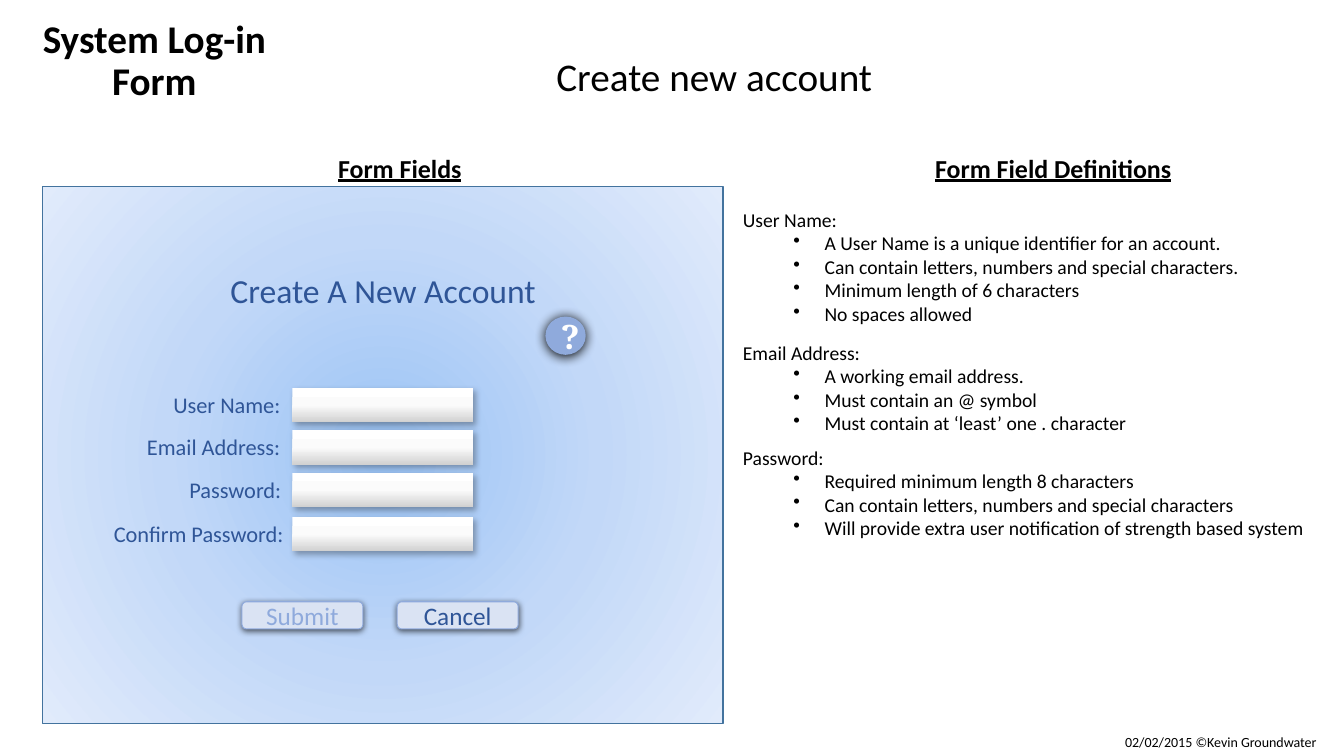
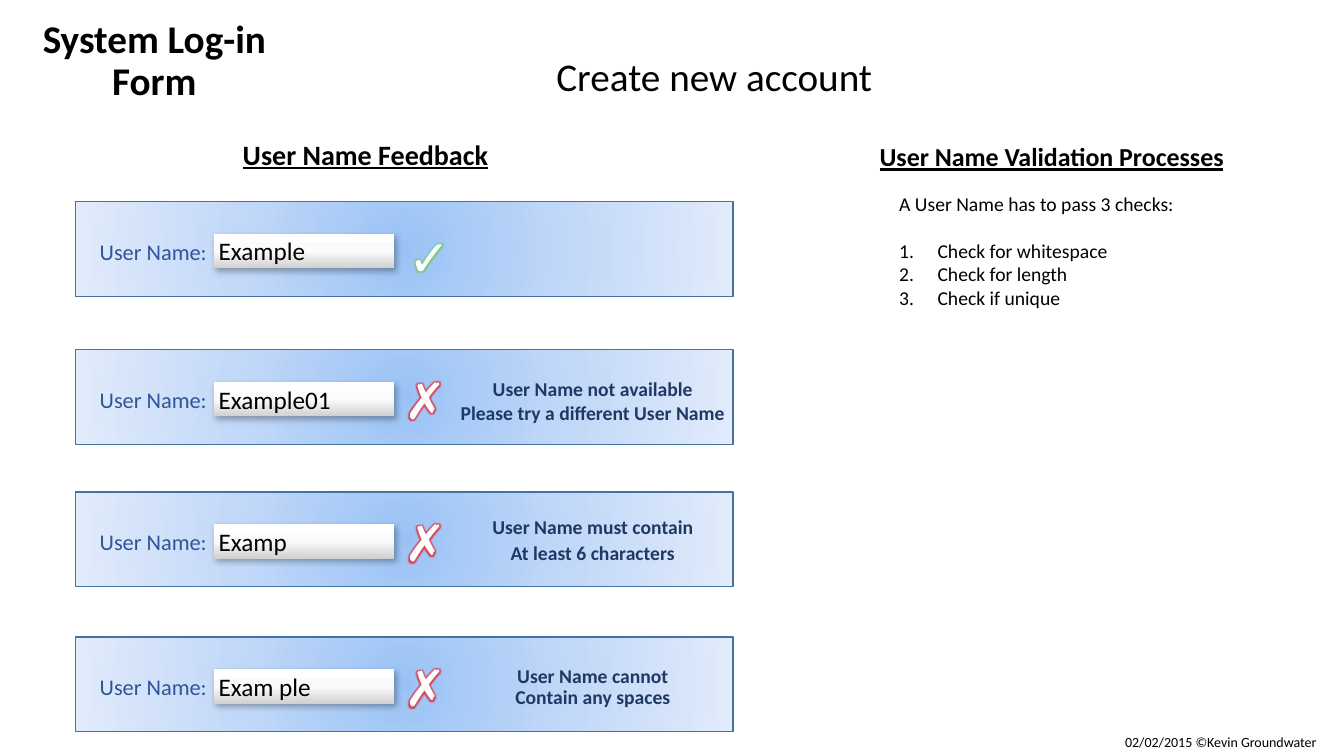
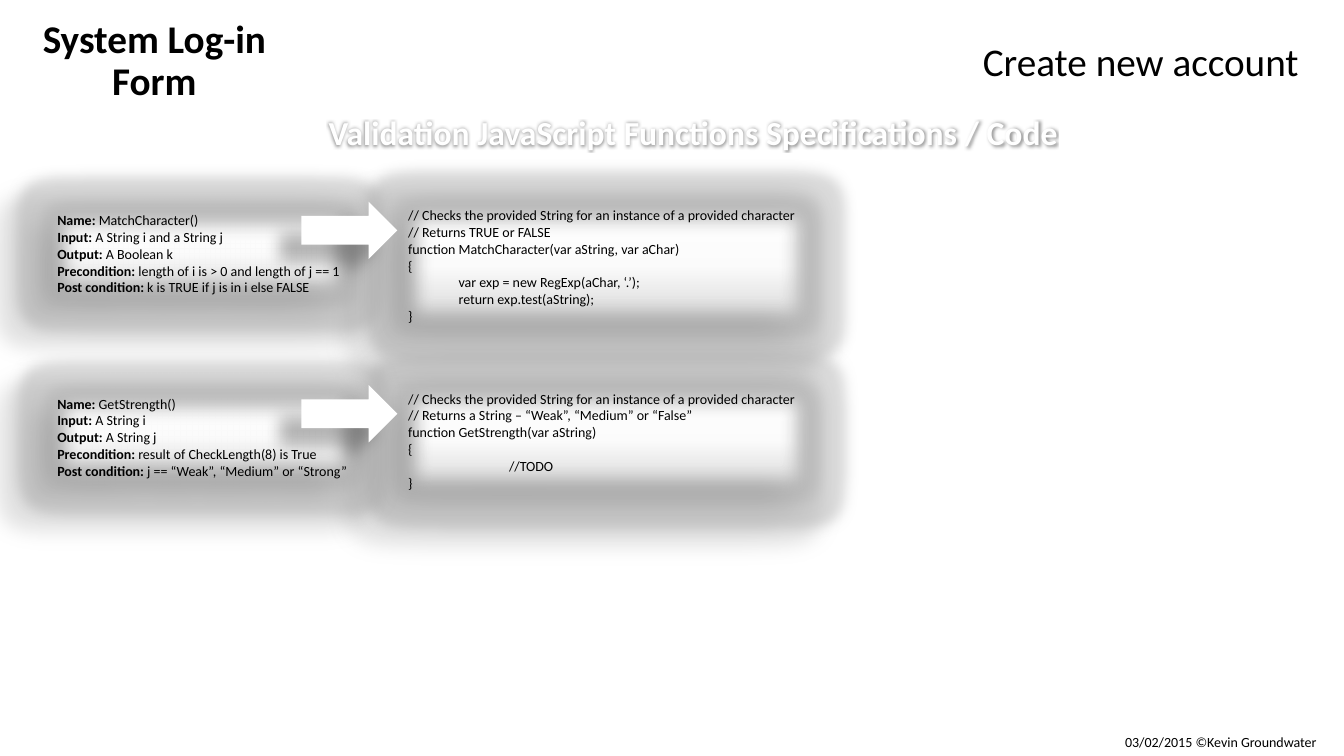
from pptx import Presentation
from pptx.dml.color import RGBColor
from pptx.enum.shapes import MSO_SHAPE
from pptx.enum.text import MSO_ANCHOR, MSO_AUTO_SIZE, PP_ALIGN
from pptx.oxml import parse_xml
from pptx.oxml.ns import nsdecls, qn
from pptx.util import Inches, Pt

RECTANGLE, ROUNDED, OVAL, ARROW = (
    MSO_SHAPE.RECTANGLE, MSO_SHAPE.ROUNDED_RECTANGLE, MSO_SHAPE.OVAL, MSO_SHAPE.RIGHT_ARROW)
LEFT, CENTER = PP_ALIGN.LEFT, PP_ALIGN.CENTER
TOP, MIDDLE, BOTTOM = MSO_ANCHOR.TOP, MSO_ANCHOR.MIDDLE, MSO_ANCHOR.BOTTOM
GROW = MSO_AUTO_SIZE.SHAPE_TO_FIT_TEXT

BLACK, WHITE, BLUE, NAVY = "000000", "FFFFFF", "2F5597", "203864"
SOFT_BLUE, PALE_BLUE, PANEL_LINE = "8FAADC", "DAE3F3", "43739E"
GREY_GLOW, GREEN_GLOW, RED_GLOW = "A5A5A5", "7CCB8C", "D9485C"
PANEL_STOPS = ("9AC3F5", "C2D8F8", "E1EBFB")
FIELD_STOPS = ("FFFFFF", "FBFBFB", "D1D1D1")
RADIAL = '<a:path path="circle"><a:fillToRect l="50000" t="50000" r="50000" b="50000"/></a:path>'
DOWNWARD = '<a:lin ang="5400000" scaled="0"/>'
BULLET = '<a:buChar {} char="\u2022"/>'
NUMBER = '<a:buAutoNum {} type="arabicPeriod"/>'

FIELD_SHADOW = (30, 4.5, 2.6, 53)
BUTTON_SHADOW = (63, 4.5, 1.5, 90)
HELP_SHADOW = (100, 8.5, 1, 90)
CARD_SHADOW = (28, 11.8, 19.7, 141)

DEFINITIONS = [
    (2.01, 1.28, ["User Name:", "A User Name is a unique identifier for an account.",
                  "Can contain letters, numbers and special characters.",
                  "Minimum length of 6 characters", "No spaces allowed"]),
    (3.33, 1.04, ["Email Address:", "A working email address.", "Must contain an @ symbol",
                  "Must contain at \u2018least\u2019 one . character"]),
    (4.37, 1.04, ["Password:", "Required minimum length 8 characters",
                  "Can contain letters, numbers and special characters",
                  "Will provide extra user notification of strength based system"]),
]
ACCOUNT_FIELDS = [
    ("User Name:", 1.62, 1.28, 3.85), ("Email Address:", 1.36, 1.54, 4.27),
    ("Password:", 1.78, 1.12, 4.69), ("Confirm Password:", 1.03, 1.91, 5.13),
]
FEEDBACK = [
    (2, "Example", []),
    (3.47, "Example01", [("User Name not available", 2.2, 0.22),
                         ("Please try a different User Name", 2.9, 0.46)]),
    (4.88, "Examp", [("User Name must contain", 2.21, 0.18),
                     ("At least 6 characters", 1.84, 0.44)]),
    (6.32, "Exam ple", [("User Name cannot", 1.71, 0.22),
                        ("Contain any spaces", 1.75, 0.43)]),
]
FUNCTIONS = [
    (2, 3.02, 1.28,
     [("Name: ", "MatchCharacter()"), ("Input: ", "A String i and a String j"),
      ("Output: ", "A Boolean k"),
      ("Precondition: ", "length of i is > 0 and length of j == 1"),
      ("Post condition: ", "k is TRUE if j is in i else FALSE")],
     ["// Checks the provided String for an instance of a provided character",
      "// Returns TRUE or FALSE", "function MatchCharacter(var aString, var aChar)", "{",
      "var exp = new RegExp(aChar, \u2018.\u2019);", "return exp.test(aString);", "}"], 0.5),
    (3.82, 3.1, 1.11,
     [("Name: ", "GetStrength()"), ("Input: ", "A String i"), ("Output: ", "A String j"),
      ("Precondition: ", "result of CheckLength(8) is True"),
      ("Post condition: ", "j == \u201cWeak\u201d, \u201cMedium\u201d or \u201cStrong\u201d")],
     ["// Checks the provided String for an instance of a provided character",
      "// Returns a String \u2013 \u201cWeak\u201d, \u201cMedium\u201d or \u201cFalse\u201d",
      "function GetStrength(var aString)", "{", "//TODO", "}"], 1),
]


def color(value):
    """Turn a hex string into a colour."""
    return RGBColor.from_string(value)


def glow_xml(value, radius, alpha):
    """Return the XML of a glow."""
    return (f'<a:glow {nsdecls("a")} rad="{Pt(radius)}"><a:srgbClr val="{value}">'
            f'<a:alpha val="{alpha * 1000}"/></a:srgbClr></a:glow>')


def add_effects(shape, shadow=None, soft=False):
    """Give a shape its shadow and, for cards, a glow with soft edges."""
    shape.shadow.inherit = False
    effects = shape.element.spPr.find(qn("a:effectLst"))
    if soft:
        effects.append(parse_xml(glow_xml(GREY_GLOW, 18, 40)))
    if shadow:
        alpha, blur, distance, angle = shadow
        effects.append(parse_xml(
            f'<a:outerShdw {nsdecls("a")} blurRad="{Pt(blur)}" dist="{Pt(distance)}" '
            f'dir="{angle * 60000}" algn="ctr" rotWithShape="0"><a:srgbClr val="{BLACK}">'
            f'<a:alpha val="{alpha * 1000}"/></a:srgbClr></a:outerShdw>'))
    if soft:
        effects.append(parse_xml(f'<a:softEdge {nsdecls("a")} rad="{Pt(12.5)}"/>'))


def fill_gradient(shape, stops, direction):
    """Fill a shape with three evenly spaced gradient stops."""
    shape.fill.gradient()
    gradient = shape.element.spPr.find(qn("a:gradFill"))
    stop_list = "".join(f'<a:gs pos="{index * 50000}"><a:srgbClr val="{value}"/></a:gs>'
                        for index, value in enumerate(stops))
    gradient.getparent().replace(gradient, parse_xml(
        f'<a:gradFill {nsdecls("a")} rotWithShape="1"><a:gsLst>{stop_list}</a:gsLst>'
        f'{direction}</a:gradFill>'))


def add_box(slide, kind, left, top, width, height, fill=None, line=None, weight=0.75):
    """Add a preset shape with a plain fill and an optional line."""
    shape = slide.shapes.add_shape(
        kind, Inches(left), Inches(top), Inches(width), Inches(height))
    if fill:
        shape.fill.solid()
        shape.fill.fore_color.rgb = color(fill)
    if line:
        shape.line.color.rgb = color(line)
        shape.line.width = Pt(weight)
    else:
        shape.line.fill.background()
    return shape


def write_text(shape, lines, size, ink=BLACK, bold=False, underline=False, align=LEFT,
               anchor=TOP, font="Calibri", spacing=None, before=None, glow=None):
    """Write lines into a shape; a pair is a bold term and its plain text."""
    frame = shape.text_frame
    frame.vertical_anchor = anchor
    for index, line in enumerate(lines):
        paragraph = frame.add_paragraph() if index else frame.paragraphs[0]
        paragraph.alignment = align
        if spacing:
            paragraph.line_spacing = spacing
        if before:
            paragraph.space_before = Pt(before)
        pieces = [(line, bold)] if isinstance(line, str) else zip(line, (True, False))
        for text, heavy in pieces:
            run = paragraph.add_run()
            run.text = text
            run.font.size = Pt(size)
            run.font.name = font
            run.font.bold = heavy
            run.font.underline = underline
            run.font.color.rgb = color(ink)
            if glow:
                effects = parse_xml(f'<a:effectLst {nsdecls("a")}>{glow}</a:effectLst>')
                run._r.get_or_add_rPr().find(qn("a:latin")).addprevious(effects)
    return frame


def add_text(slide, left, top, width, height, lines, size, wrap=True, grow=True, **style):
    """Add a text box."""
    box = slide.shapes.add_textbox(Inches(left), Inches(top), Inches(width), Inches(height))
    frame = write_text(box, lines, size, **style)
    frame.word_wrap = wrap
    if grow:
        frame.auto_size = GROW
    return frame


def indent(paragraphs, margin, hanging=0, marker=None):
    """Indent paragraphs and give them an optional list marker."""
    for paragraph in paragraphs:
        properties = paragraph._p.get_or_add_pPr()
        properties.set("marL", str(Inches(margin)))
        properties.set("indent", str(-Inches(hanging)))
        if marker:
            properties.append(parse_xml(marker.format(nsdecls("a"))))


def add_heading(slide, left, top, width, text, height=0.37, size=18.5, spacing=0.8):
    """Add an underlined section heading."""
    add_text(slide, left, top, width, height, [text], size, grow=False, bold=True,
             underline=True, align=CENTER, spacing=spacing, before=10)


def add_panel(slide, left, top, width, height):
    """Add a blue form panel."""
    panel = add_box(slide, RECTANGLE, left, top, width, height, line=PANEL_LINE, weight=1)
    fill_gradient(panel, PANEL_STOPS, RADIAL)
    add_effects(panel)


def add_field(slide, left, top):
    """Add an input field."""
    field = add_box(slide, RECTANGLE, left, top, 1.79, 0.34)
    fill_gradient(field, FIELD_STOPS, DOWNWARD)
    add_effects(field, FIELD_SHADOW)


def add_label(slide, left, top, width, text):
    """Add the label of an input field."""
    add_text(slide, left, top, width, 0.37, [text], 16, wrap=False, ink=BLUE)


def add_button(slide, left, text, ink):
    """Add a form button."""
    button = add_box(slide, ROUNDED, left, 5.97, 1.2, 0.27, PALE_BLUE, SOFT_BLUE)
    add_effects(button, BUTTON_SHADOW)
    write_text(button, [text], 18, ink=ink, align=CENTER, anchor=MIDDLE)


def add_card(slide, left, top, width, height, lines):
    """Add a soft-edged text card."""
    card = add_box(slide, RECTANGLE, left, top, width, height)
    fill_gradient(card, FIELD_STOPS, DOWNWARD)
    add_effects(card, CARD_SHADOW, soft=True)
    return write_text(card, lines, 10)


def add_mark(slide, left, top, width, symbol, halo):
    """Add a glowing tick or cross."""
    add_text(slide, left, top, width, 0.71, [symbol], 36, wrap=False, ink=WHITE,
             align=CENTER, glow=glow_xml(halo, 4, 100))


def add_frame(presentation, date, topic_left=5.42, topic_top=0.47):
    """Add a slide with the shared title, topic and footer."""
    slide = presentation.slides.add_slide(presentation.slide_layouts[6])
    add_text(slide, 0.12, 0.14, 2.82, 0.94, ["System Log-in Form"], 28, grow=False,
             bold=True, align=CENTER, anchor=BOTTOM, spacing=0.9)
    add_text(slide, topic_left, topic_top, 3.68, 0.57, ["Create new account"], 28)
    add_text(slide, 11.06, 7.23, 2.27, 0.27, [f"{date} \u00a9Kevin Groundwater"], 10)
    return slide


def build_form(presentation):
    """Build the account form and its field definitions."""
    slide = add_frame(presentation, "02/02/2015")
    add_panel(slide, 0.42, 1.85, 6.75, 5.33)
    add_heading(slide, 2.52, 1.52, 2.89, "Form Fields")
    add_heading(slide, 9, 1.52, 2.89, "Form Field Definitions")
    add_text(slide, 2.17, 2.63, 3.26, 0.5, ["Create A New Account"], 24, wrap=False,
             ink=BLUE, align=CENTER)
    for text, left, width, top in ACCOUNT_FIELDS:
        add_label(slide, left, top - 0.02, width, text)
        add_field(slide, 2.9, top)
    help_button = add_box(slide, OVAL, 5.41, 3.14, 0.4, 0.38, SOFT_BLUE)
    add_effects(help_button, HELP_SHADOW)
    write_text(help_button, ["?"], 24, ink=WHITE, bold=True, align=CENTER, anchor=MIDDLE,
               font="Noto Serif")
    add_button(slide, 2.4, "Submit", SOFT_BLUE)
    add_button(slide, 3.94, "Cancel", BLUE)
    for top, height, lines in DEFINITIONS:
        frame = add_text(slide, 7.27, top, 5.96, height, lines, 14)
        indent(frame.paragraphs[1:], 0.81, 0.31, BULLET)


def build_feedback(presentation):
    """Build the user name feedback examples."""
    slide = add_frame(presentation, "02/02/2015")
    add_heading(slide, 1.87, 1.35, 3.51, "User Name Feedback", 0.49, 20, 0.9)
    add_heading(slide, 8.56, 1.41, 3.74, "User Name Validation Processes")
    for top, entry, messages in FEEDBACK:
        add_panel(slide, 0.75, top, 6.52, 0.94)
        add_label(slide, 0.89, top + 0.31, 1.28, "User Name:")
        add_field(slide, 2.12, top + 0.32)
        add_text(slide, 2.07, top + 0.29, 1.44, 0.4, [entry], 18)
        if messages:
            add_mark(slide, 3.91, top + 0.14, 0.52, "\u2717", RED_GLOW)
        else:
            add_mark(slide, 3.95, top + 0.19, 0.6, "\u2713", GREEN_GLOW)
        for text, width, offset in messages:
            add_text(slide, 5.88 - width / 2, top + offset, width, 0.34, [text], 14,
                     wrap=False, ink=NAVY, bold=True, align=CENTER)
    checks = add_text(slide, 8.82, 1.85, 3.21, 1.28,
                      ["A User Name has to pass 3 checks:", "Check for whitespace",
                       "Check for length", "Check if unique"], 14)
    checks.paragraphs[0].space_after = Pt(17)
    indent(checks.paragraphs[1:], 0.38, 0.38, NUMBER)


def build_code(presentation):
    """Build the function specifications beside their code."""
    slide = add_frame(presentation, "03/02/2015", 9.65, 0.32)
    add_text(slide, 3.13, 1.06, 7.49, 0.91,
             ["Validation JavaScript Functions Specifications / Code"], 24, wrap=False,
             ink=WHITE, bold=True, align=CENTER, glow=glow_xml("808080", 4, 80))
    for top, width, height, specification, code, margin in FUNCTIONS:
        frame = add_card(slide, 3.95, top, 4.12, height, code)
        indent(frame.paragraphs[4:-1], margin)
        add_card(slide, 0.47, top + 0.05, width, 0.94, specification)
        arrow = add_box(slide, ARROW, 2.99, top, 0.95, 0.57, WHITE)
        add_effects(arrow, CARD_SHADOW)


def main():
    """Build and save the presentation."""
    presentation = Presentation()
    presentation.slide_width = Inches(13.33)
    presentation.slide_height = Inches(7.5)
    build_form(presentation)
    build_feedback(presentation)
    build_code(presentation)
    presentation.save("out.pptx")


main()
